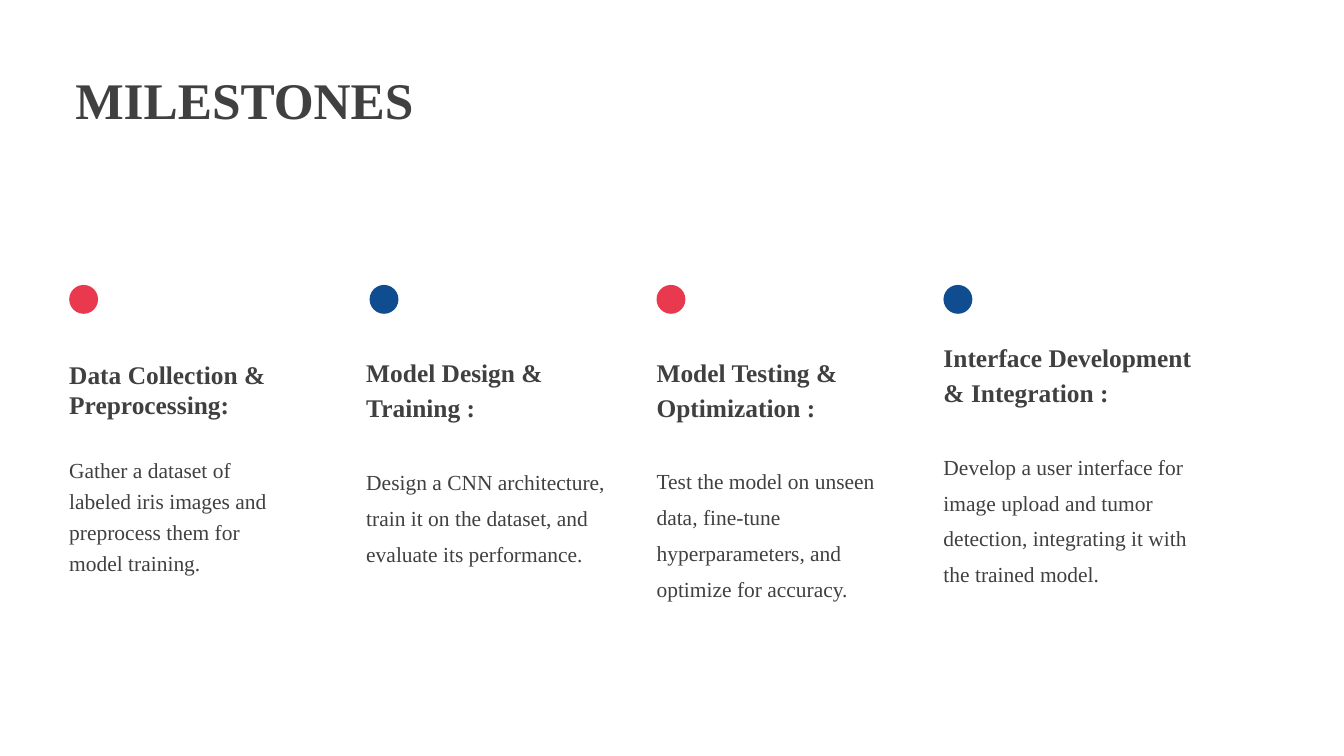
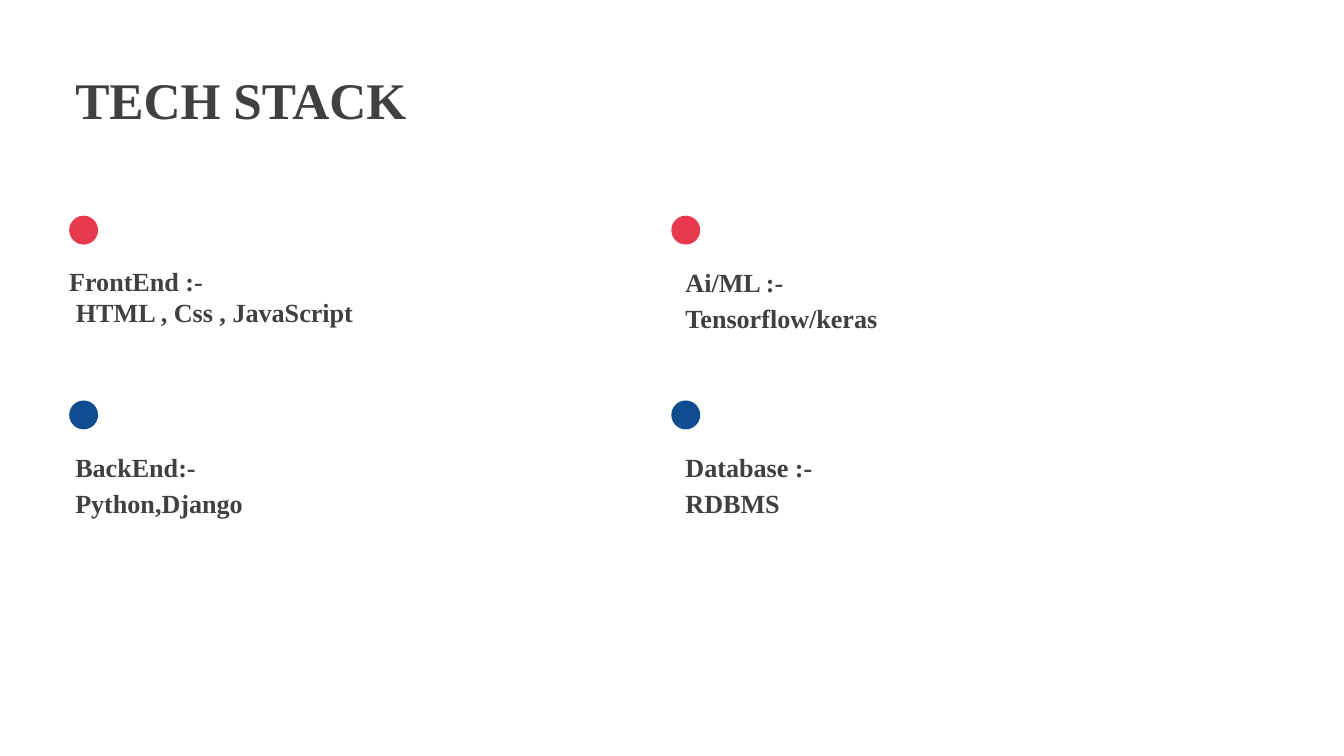
from itertools import cycle, product

from lxml.etree import SubElement
from pptx import Presentation
from pptx.dml.color import RGBColor
from pptx.enum.shapes import MSO_SHAPE
from pptx.enum.text import MSO_ANCHOR, MSO_AUTO_SIZE, PP_ALIGN
from pptx.oxml.ns import qn
from pptx.util import Pt

SCALE = 9144
WIDE, HIGH = 2000, 1125
INK = RGBColor(0x40, 0x40, 0x40)
RED = RGBColor(0xE9, 0x39, 0x4E)
BLUE = RGBColor(0x10, 0x4C, 0x90)
FONT = "Times New Roman"
DOT = 43
LEFT = 103

STEPS = [
    ((LEFT, 534, 300, 370), 32.7, 33.5, 33.5,
     "Data Collection & Preprocessing:",
     "Gather a dataset of labeled iris images and preprocess them for model training."),
    ((545, 525, 372, 423), 37.6, 38.5, 38.5,
     "Model Design & Training :",
     "Design a CNN architecture, train it on the dataset, and evaluate its performance."),
    ((977, 525, 348, 422), 37.6, 37.6, 38.5,
     "Model Testing & Optimization :",
     "Test the model on unseen data, fine-tune hyperparameters, and optimize for accuracy."),
    ((1404, 502, 388, 417), 37.6, 38.5, 38.5,
     "Interface Development & Integration :",
     "Develop a user interface for image upload and tumor detection, "
     "integrating it with the trained model."),
]

TOOLS = [
    ((LEFT, 395, 432, 144), 33.6, 10, "FrontEnd :-", "HTML , Css , JavaScript"),
    ((112, 665, 456, 111), 38.7, 0, "BackEnd:-", "Python,Django"),
    ((1020, 389, 348, 111), 38.7, 0, "Ai/ML :-", "Tensorflow/keras"),
    ((1020, 665, 388, 111), 38.7, 0, "Database :-", "RDBMS"),
]


def px(size):
    return size * SCALE


class Deck:
    def __init__(self):
        self.show = Presentation()
        self.show.slide_width = px(WIDE)
        self.show.slide_height = px(HIGH)

    def page(self, title, width):
        layout = self.show.slide_layouts.get_by_name("Comparison")
        self.slide = self.show.slides.add_slide(layout)
        head, *bodies = self.slide.placeholders
        self.bodies = iter(bodies)
        frame = self.frame(head, (112, 101, width, 102))
        self.line(frame.paragraphs[0], title, 55, 66)

    def frame(self, shape, box):
        shape.left, shape.top, shape.width, shape.height = map(px, box)
        frame = shape.text_frame
        frame.margin_left = frame.margin_right = 0
        frame.margin_top = frame.margin_bottom = 0
        frame.word_wrap = True
        frame.auto_size = MSO_AUTO_SIZE.NONE
        frame.vertical_anchor = MSO_ANCHOR.TOP
        return frame

    def line(self, para, text, size, lead, bold=True, gap=0, indent=0):
        para.alignment = PP_ALIGN.LEFT
        para.line_spacing = Pt(lead)
        para.space_before = Pt(gap)
        para.space_after = Pt(0)
        props = para._p.get_or_add_pPr()
        props.set("marL", str(px(indent)))
        props.set("indent", "0")
        SubElement(props, qn("a:buNone"))
        run = para.add_run()
        run.text = text
        font = run.font
        font.name, font.size, font.bold = FONT, Pt(size), bold
        font.color.rgb = INK

    def block(self, box, first, second):
        frame = self.frame(next(self.bodies), box)
        self.line(frame.paragraphs[0], **first)
        self.line(frame.add_paragraph(), **second)

    def dot(self, left, top, color):
        dot = self.slide.shapes.add_shape(
            MSO_SHAPE.OVAL, px(left), px(top), px(DOT), px(DOT))
        dot.shadow.inherit = False
        dot.fill.solid()
        dot.fill.fore_color.rgb = color
        dot.line.fill.background()


def main():
    deck = Deck()

    deck.page("MILESTONES", 745)
    for box, lead, gap, pitch, name, task in STEPS:
        deck.block(box, dict(text=name, size=27.2, lead=lead),
                   dict(text=task, size=23, lead=pitch, bold=False, gap=gap))
    for left, color in zip((LEFT, 550, 977, 1404), cycle((RED, BLUE))):
        deck.dot(left, 424, color)

    deck.page("TECH STACK", 980)
    for box, lead, indent, name, tool in TOOLS:
        deck.block(box, dict(text=name, size=28, lead=lead),
                   dict(text=tool, size=28, lead=lead, indent=indent))
    for left, (top, color) in product((LEFT, 999), ((321, RED), (596, BLUE))):
        deck.dot(left, top, color)

    deck.show.save("out.pptx")


if __name__ == "__main__":
    main()
